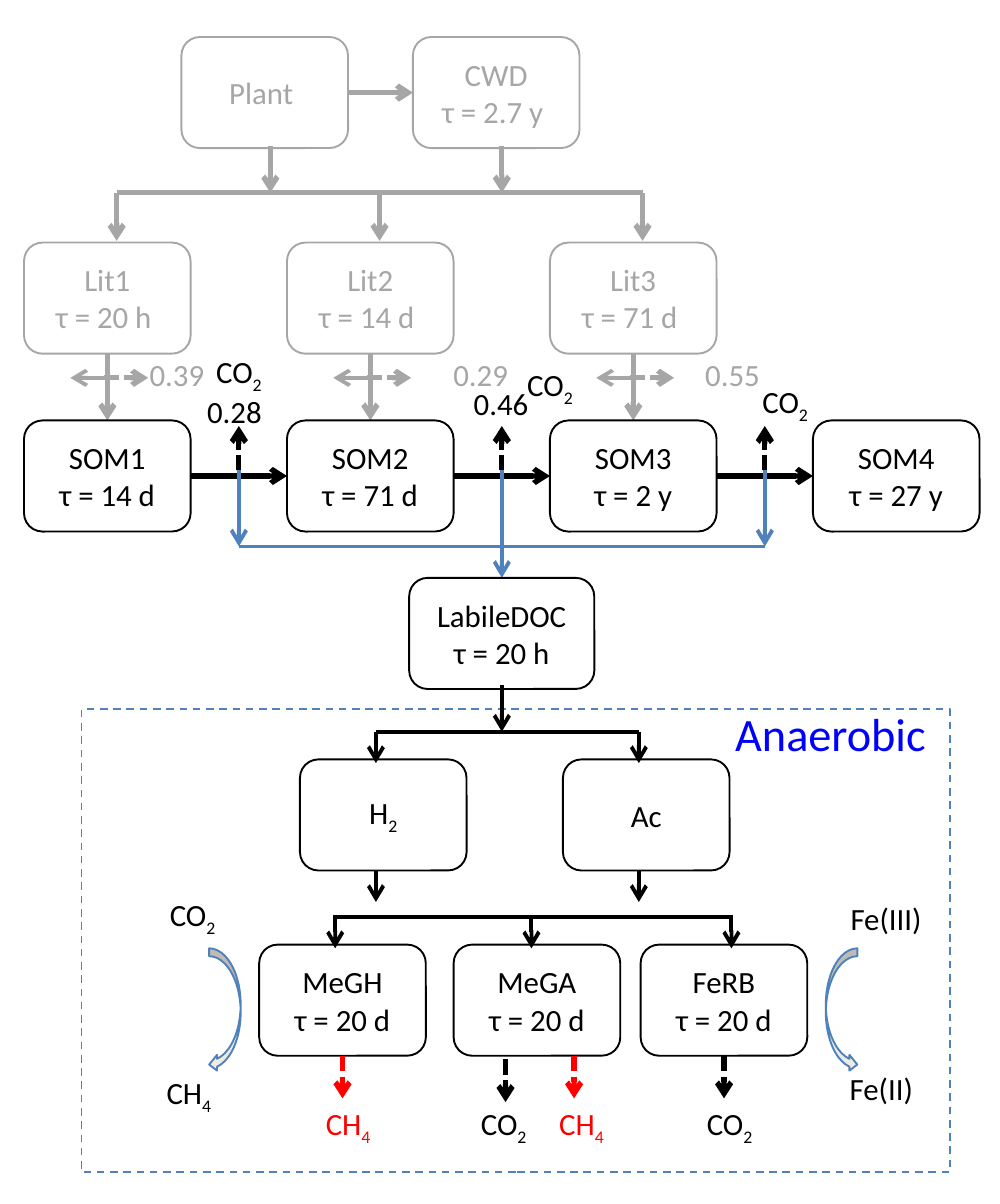
from dataclasses import dataclass

from lxml import etree
from pptx import Presentation
from pptx.dml.color import RGBColor
from pptx.enum.dml import MSO_LINE
from pptx.enum.shapes import MSO_CONNECTOR, MSO_SHAPE
from pptx.enum.text import MSO_ANCHOR, MSO_AUTO_SIZE, PP_ALIGN
from pptx.oxml.ns import qn
from pptx.util import Inches, Pt

STRAIGHT = MSO_CONNECTOR.STRAIGHT
ROUNDED, RECTANGLE = MSO_SHAPE.ROUNDED_RECTANGLE, MSO_SHAPE.RECTANGLE
CURVED_LEFT, CURVED_RIGHT = MSO_SHAPE.CURVED_LEFT_ARROW, MSO_SHAPE.CURVED_RIGHT_ARROW
DASH, SHORT_DASH = MSO_LINE.DASH, MSO_LINE.SQUARE_DOT
CENTER, LEFT = PP_ALIGN.CENTER, PP_ALIGN.LEFT
MIDDLE, FIT_SHAPE = MSO_ANCHOR.MIDDLE, MSO_AUTO_SIZE.SHAPE_TO_FIT_TEXT


@dataclass(frozen=True)
class Theme:
    font: str = "Calibri"
    body: float = 12
    heading: float = 18
    hairline: float = 0.75
    thin: float = 1
    medium: float = 1.5
    thick: float = 2
    black: str = "000000"
    gray: str = "A6A6A6"
    blue: str = "4F81BD"
    red: str = "FF0000"
    title_blue: str = "0000FF"
    cream: str = "EEECE1"


THEME = Theme()
POOL_W, POOL_H = 0.9, 0.6
PITCH = 1.42  # distance between neighbouring pool columns


def write_text(frame, text, color, size, align, spacing=None):
    """Fill a frame; the character after an underscore is a subscript."""
    frame.text = text.replace("_", "\v") if "_" not in text else ""
    for paragraph in frame.paragraphs:
        if "_" in text:
            base, subscript = text.split("_")
            paragraph.text = base
            paragraph.add_run().text = subscript
            paragraph.runs[1].font._element.set("baseline", "-25000")
        paragraph.alignment = align
        paragraph.line_spacing = spacing
        for run in paragraph.runs:
            run.font.name = THEME.font
            run.font.size = Pt(size)
            run.font.color.rgb = RGBColor.from_string(color)


@dataclass
class Region:
    """Draws parts at offsets, in inches, from its own top-left corner."""
    shapes: object
    left: float
    top: float

    def place(self, x, y):
        return Inches(self.left + x), Inches(self.top + y)

    def outline(self, kind, x, y, width, height, color, fill=None):
        shape = self.shapes.add_shape(kind, *self.place(x, y), Inches(width), Inches(height))
        shape.shadow.inherit = False
        shape.line.color.rgb = RGBColor.from_string(color)
        shape.line.width = Pt(THEME.hairline)
        if fill:
            shape.fill.solid()
            shape.fill.fore_color.rgb = RGBColor.from_string(fill)
        else:
            shape.fill.background()
        return shape

    def pool(self, x, y, text, color=THEME.black, width=POOL_W):
        frame = self.outline(ROUNDED, x, y, width, POOL_H, color).text_frame
        frame.word_wrap = True
        frame.vertical_anchor = MIDDLE
        write_text(frame, text, color, THEME.body, CENTER)

    def label(self, x, y, text, color=THEME.black, width=0.52, height=0.29,
              size=THEME.body, align=CENTER, spacing=0.9):
        frame = self.shapes.add_textbox(*self.place(x, y), Inches(width), Inches(height)).text_frame
        frame.word_wrap = False
        frame.auto_size = FIT_SHAPE
        write_text(frame, text, color, size, align, spacing)

    def fraction(self, x, y, text, color=THEME.black):
        self.label(x, y, text, color, 0.5, 0.3, align=LEFT, spacing=None)

    def line(self, x1, y1, x2, y2, color=THEME.black, weight=THEME.thick, dash=None):
        connector = self.shapes.add_connector(STRAIGHT, *self.place(x1, y1), *self.place(x2, y2))
        connector.line.color.rgb = RGBColor.from_string(color)
        connector.line.width = Pt(weight)
        if dash:
            connector.line.dash_style = dash
        etree.SubElement(connector._element.spPr, qn("a:effectLst"))
        return connector

    def arrow(self, *ends, **style):
        outline = self.line(*ends, **style).line._get_or_add_ln()
        etree.SubElement(outline, qn("a:tailEnd")).set("type", "arrow")


def draw_litter(region):
    gray = THEME.gray
    # Plant and woody debris feed the distribution line
    region.pool(0.85, 0, "Plant ", gray)
    region.pool(2.1, 0, "CWD\nτ = 2.7 y ", gray)
    region.arrow(1.75, 0.3, 2.1, 0.3, color=gray)
    for source_x in (1.33, 2.58):
        region.arrow(source_x, 0.59, source_x, 0.84, color=gray)
    region.line(0.5, 0.84, 0.5 + 2 * PITCH, 0.84, color=gray)
    # Litter pools with their respired fractions
    litters = (("Lit1\nτ = 20 h ", "0.39", 0.58), ("Lit2\nτ = 14 d ", "0.29", 2.22),
               ("Lit3\nτ = 71 d ", "0.55", 3.58))
    for column, (litter, respired, respired_x) in enumerate(litters):
        x = column * PITCH
        region.arrow(x + 0.5, 0.84, x + 0.5, 1.1, color=gray)
        region.pool(x, 1.11, litter, gray)
        region.arrow(x + 0.45, 1.71, x + 0.45, 2.07, color=gray)
        region.arrow(x + 0.43, 1.84, x + 0.67, 1.84, color=gray, dash=SHORT_DASH)
        region.arrow(x + 0.5, 1.84, x + 0.25, 1.84, color=gray, weight=THEME.medium)
        region.fraction(respired_x, 1.67, respired, gray)


def draw_soil_organic_matter(region):
    # Chain of pools
    for column, age in enumerate(("14 d", "71 d", "2 y", "27 y")):
        region.pool(column * PITCH, 0.41, f"SOM{column + 1}\nτ = {age}")
    # Transfers, each releasing gas upwards and dissolved carbon downwards
    collector_y = 1.09
    for column, leach_end in enumerate((collector_y, 1.26, collector_y)):
        x = column * PITCH
        release_x = x + 1.16
        region.arrow(x + POOL_W, 0.71, x + PITCH, 0.71)
        region.arrow(release_x, 0.68, release_x, 0.44, dash=SHORT_DASH)
        region.arrow(release_x, 0.68, release_x, leach_end, color=THEME.blue, weight=THEME.medium)
    region.line(1.16, collector_y, 1.16 + 2 * PITCH, collector_y, THEME.blue, THEME.thin)
    for gas_x, gas_y in ((0.9, 0), (2.58, 0.07), (3.85, 0.16)):
        region.label(gas_x, gas_y, "CO_2")
    region.fraction(0.89, 0.21, "0.28")
    region.fraction(2.33, 0.17, "0.46")


def draw_labile_carbon(region):
    region.pool(0, 0, "LabileDOC τ = 20 h", width=1)
    region.arrow(0.5, 0.58, 0.5, 0.83, weight=THEME.medium)


def draw_anaerobic(region):
    # Frame and heading
    frame = region.outline(RECTANGLE, 0, 0, 4.69, 2.5, THEME.blue)
    frame.line.dash_style = DASH
    region.label(3.37, -0.04, "Anaerobic", THEME.title_blue, 1.35, 0.38, THEME.heading)
    # Substrates
    region.line(1.59, 0.12, 3.01, 0.12, weight=THEME.medium)
    for column, substrate in enumerate(("H_2", "Ac")):
        x = 1.18 + column * PITCH
        region.pool(x, 0.27, substrate)
        for start in (0.12, 0.87):
            region.arrow(x + 0.41, start, x + 0.41, start + 0.17, weight=THEME.medium)
    # Microbial groups
    region.line(1.36, 1.12, 3.52, 1.12, weight=THEME.medium)
    for microbe, x, feed_x in (("MeGH", 0.96, 1.37), ("MeGA", 2.01, 2.43), ("FeRB", 3.02, 3.51)):
        region.pool(x, 1.27, f"{microbe}\nτ = 20 d")
        region.arrow(feed_x, 1.12, feed_x, 1.29, weight=THEME.medium)
    # Gases given off
    products = (("CH_4", THEME.red, 1.41, 1.18, 1.87), ("CO_2", THEME.black, 2.29, 2.02, 1.89),
                ("CH_4", THEME.red, 2.66, 2.44, 1.87), ("CO_2", THEME.black, 3.47, 3.24, 1.87))
    for gas, color, x, label_x, start in products:
        region.arrow(x, start, x, start + 0.23, color=color, dash=SHORT_DASH)
        region.label(label_x, 2.09, gas, color)
    # Reductions on either side
    for bend, x in ((CURVED_LEFT, 0.69), (CURVED_RIGHT, 4.02)):
        region.outline(bend, x, 1.29, 0.17, 0.67, THEME.blue, THEME.cream)
    region.label(0.34, 0.96, "CO_2")
    region.label(0.32, 1.92, "CH_4")
    region.label(4.02, 1, "Fe(III)", width=0.65)
    region.label(4.02, 1.92, "Fe(II)", width=0.6)


presentation = Presentation()
presentation.slide_width, presentation.slide_height = Inches(5.4), Inches(6.5)
blank_layout = presentation.slide_layouts[6]
canvas = presentation.slides.add_slide(blank_layout).shapes
draw_anaerobic(Region(canvas, 0.44, 3.83))
draw_litter(Region(canvas, 0.13, 0.2))
draw_soil_organic_matter(Region(canvas, 0.13, 1.86))
draw_labile_carbon(Region(canvas, 2.21, 3.12))
presentation.save("out.pptx")
